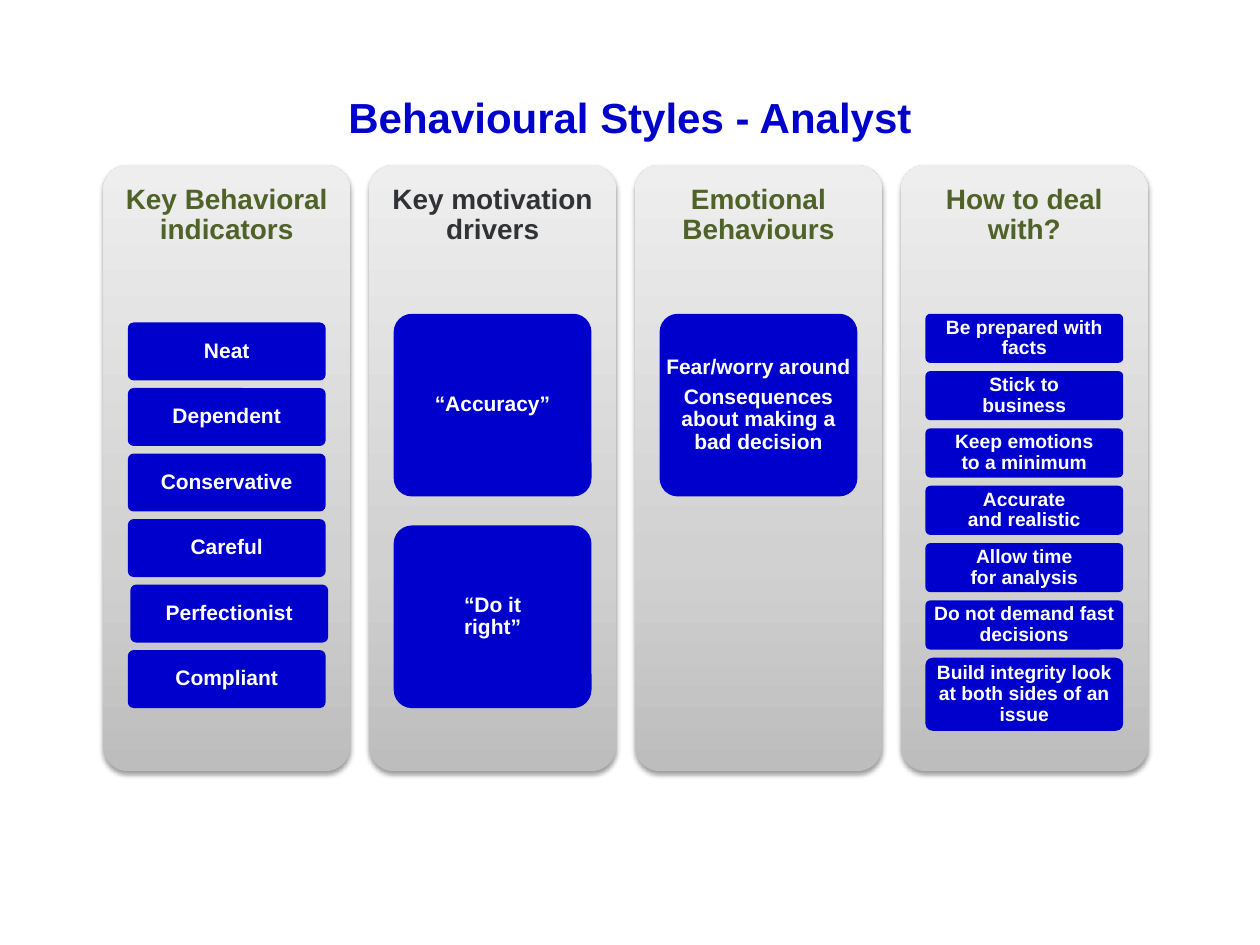
"""Build the Analyst slide of the behavioural styles deck."""
from copy import deepcopy
from dataclasses import dataclass

from lxml import etree
from pptx import Presentation
from pptx.dml.color import RGBColor
from pptx.enum.shapes import MSO_SHAPE
from pptx.enum.text import MSO_ANCHOR, PP_ALIGN
from pptx.oxml.ns import qn
from pptx.util import Inches, Pt

ROUND = MSO_SHAPE.ROUNDED_RECTANGLE
TOP, MIDDLE = MSO_ANCHOR.TOP, MSO_ANCHOR.MIDDLE
CENTER = PP_ALIGN.CENTER

BLUE, GREEN, DARK, WHITE = "0000CC", "4F6228", "313235", "FFFFFF"
SHADES = [(0, "BDBDBD"), (0.35, "D1D1D1"), (1, "EEEEEE")]
LEFT, PITCH, WIDE, TILE = 0.82, 2.11, 1.96, 1.57
CURVE = 0.1
SHIFT = {"Perfectionist": 0.02}


@dataclass
class Box:
    x: float
    y: float
    w: float
    h: float


@dataclass
class Column:
    head: str
    tint: str
    size: int
    top: float
    step: float
    high: float
    items: list[str]
    last: float = 0


COLUMNS = [
    Column("Key Behavioral indicators", GREEN, 12, 2.56, 0.52, 0.46,
           ["Neat", "Dependent", "Conservative", "Careful",
            "Perfectionist", "Compliant"]),
    Column("Key motivation drivers", DARK, 12, 2.49, 1.68, 1.45,
           ["“Accuracy”", "“Do it\vright”"]),
    Column("Emotional Behaviours", GREEN, 12, 2.49, 1.68, 1.45,
           ["Fear/worry around\nConsequences about making a bad decision"]),
    Column("How to deal with?", GREEN, 11, 2.49, 2.73 / 6, 0.39,
           ["Be prepared with facts", "Stick to\vbusiness",
            "Keep emotions\vto a minimum", "Accurate\vand realistic",
            "Allow time\vfor analysis", "Do not demand fast decisions",
            "Build integrity look at both sides of an issue"], 0.58),
]


def paint(color, tint: str) -> None:
    """Set a colour format from a hex string."""
    color.rgb = RGBColor.from_string(tint)


def put(item, values: dict) -> None:
    """Set each named attribute on an object."""
    for name, value in values.items():
        setattr(item, name, value)


def write(frame, text: str, size: int, tint: str, **style) -> None:
    """Fill a text frame with centred bold text."""
    frame.text = text
    for para in frame.paragraphs:
        put(para, {"alignment": CENTER, **style})
        for run in para.runs:
            put(run.font, {"name": "Arial", "size": Pt(size), "bold": True})
            paint(run.font.color, tint)


def draw(slide, box: Box, text: str, size: int, tint: str, anchor,
         pads: tuple[float, float, float]):
    """Add a rounded box whose pads count from its outer edge."""
    shape = slide.shapes.add_shape(
        ROUND, *map(Inches, (box.x, box.y, box.w, box.h)))
    shape.shadow.inherit = False
    shape.adjustments[0] = CURVE
    shape.line.fill.background()
    inset = 0.29 * CURVE * min(box.w, box.h)
    side, over, under = (Inches(max(pad - inset, 0)) for pad in pads)
    frame = shape.text_frame
    put(frame, {"word_wrap": True, "vertical_anchor": anchor,
                "margin_left": side, "margin_right": side,
                "margin_top": over, "margin_bottom": under})
    write(frame, text, size, tint, line_spacing=0.9, space_after=Pt(4))
    return shape


def shade(shape) -> None:
    """Give a panel its grey gradient and soft shadow."""
    fill = shape.fill
    fill.gradient()
    fill.gradient_angle = 90
    props = shape._element.spPr
    stops = props.find(".//" + qn("a:gsLst"))
    stops.insert(1, deepcopy(stops[0]))
    for stop, (place, tint) in zip(fill.gradient_stops, SHADES):
        stop.position = place
        paint(stop.color, tint)
    cast = etree.SubElement(
        props.find(qn("a:effectLst")), qn("a:outerShdw"),
        blurRad=str(Pt(3.1)), dist=str(Pt(1.6)), dir="5400000",
        rotWithShape="0")
    black = etree.SubElement(cast, qn("a:srgbClr"), val="000000")
    etree.SubElement(black, qn("a:alpha"), val="38000")


def fill_column(slide, col: Column, x: float) -> None:
    """Draw one panel and its stack of tiles."""
    shade(draw(slide, Box(x, 1.31, WIDE, 4.81), col.head, 16, col.tint,
               TOP, (0.1, 0.16, 0.05)))
    for row, text in enumerate(col.items):
        end = row == len(col.items) - 1
        box = Box(x + (WIDE - TILE) / 2 + SHIFT.get(text, 0),
                  col.top + row * col.step, TILE,
                  col.last if end and col.last else col.high)
        tile = draw(slide, box, text, col.size, WHITE, MIDDLE,
                    (0.04, 0.03, 0.03))
        tile.fill.solid()
        paint(tile.fill.fore_color, BLUE)


def main() -> None:
    """Build and save the slide."""
    deck = Presentation()
    put(deck, {"slide_width": Inches(10), "slide_height": Inches(7.5)})
    slide = deck.slides.add_slide(deck.slide_layouts[5])
    title = slide.shapes.title
    put(title, {"left": Inches(0.5), "top": Inches(0.3),
                "width": Inches(9), "height": Inches(1.25)})
    title.text_frame.vertical_anchor = MIDDLE
    write(title.text_frame, "Behavioural Styles - Analyst", 24, BLUE)
    for spot, col in enumerate(COLUMNS):
        fill_column(slide, col, LEFT + spot * PITCH)
    deck.save("out.pptx")


if __name__ == "__main__":
    main()
